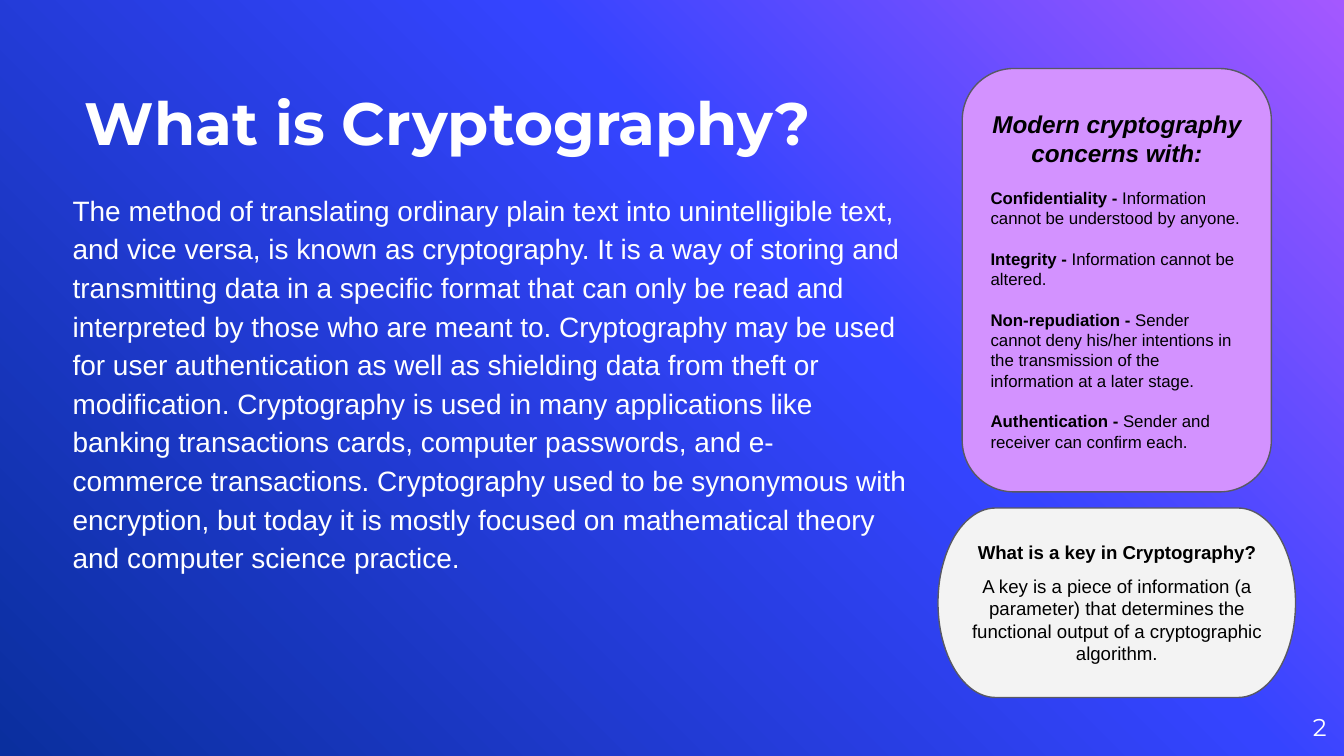
from copy import deepcopy
from pptx import Presentation
from pptx.dml.color import RGBColor
from pptx.enum.shapes import MSO_SHAPE as Shape
from pptx.enum.text import MSO_ANCHOR as Anchor, PP_ALIGN as Align
from pptx.util import Inches, Pt

WHITE = RGBColor(0xFF, 0xFF, 0xFF)
BLACK = RGBColor(0x00, 0x00, 0x00)
LILAC = RGBColor(0xD3, 0x92, 0xFF)
PALE = RGBColor(0xF3, 0xF3, 0xF3)
GREY = RGBColor(0x58, 0x59, 0x63)
VIOLET = RGBColor(0xA4, 0x58, 0xFF)
BLUE = RGBColor(0x35, 0x44, 0xFF)
NAVY = RGBColor(0x0A, 0x2F, 0x9E)

STOPS = [(0, VIOLET), (0.39, BLUE), (1, NAVY)]
TITLE = "What is Cryptography?"
BODY = (
    "The method of translating ordinary plain text into unintelligible text, "
    "and vice versa, is known as cryptography. It is a way of storing and "
    "transmitting data in a specific format that can only be read and "
    "interpreted by those who are meant to. Cryptography may be used for user "
    "authentication as well as shielding data from theft or modification. "
    "Cryptography is used in many applications like banking transactions "
    "cards, computer passwords, and e- commerce transactions. Cryptography "
    "used to be synonymous with encryption, but today it is mostly focused on "
    "mathematical theory and computer science practice."
)
GOALS_HEAD = "Modern cryptography concerns with:"
GOALS = [
    ("Confidentiality -", " Information cannot be understood by anyone."),
    ("Integrity -", " Information cannot be altered."),
    ("Non-repudiation -", " Sender cannot deny his/her intentions in the "
     "transmission of the information at a later stage."),
    ("Authentication -", " Sender and receiver can confirm each."),
]
KEY_HEAD = "What is a key in Cryptography?"
KEY_TEXT = ("A key is a piece of information (a parameter) that determines "
            "the functional output of a cryptographic algorithm.")


def set_frame(frame, anchor, inset):
    frame.word_wrap = True
    frame.vertical_anchor = anchor
    for side in ("left", "top", "right", "bottom"):
        setattr(frame, f"margin_{side}", Inches(inset))


def add_para(frame, runs, align=Align.LEFT, gap=0, **base):
    """Add a paragraph of (text, font values) runs over shared font values."""
    first = frame.paragraphs[0]
    para = frame.add_paragraph() if first.runs else first
    para.alignment = align
    if gap:
        para.space_before = Pt(gap)
    for text, extra in runs:
        run = para.add_run()
        run.text = text
        values = {"name": "Arial", **base, **extra}
        run.font.color.rgb = values.pop("color")
        for key, value in values.items():
            setattr(run.font, key, value)
    return para


def add_text(slide, box, text, anchor=Anchor.TOP, align=Align.LEFT, **font):
    frame = slide.shapes.add_textbox(*map(Inches, box)).text_frame
    set_frame(frame, anchor, 0)
    return add_para(frame, [(text, {})], align, color=WHITE, **font)


def add_card(slide, kind, box, fill):
    card = slide.shapes.add_shape(kind, *map(Inches, box))
    card.shadow.inherit = False
    card.fill.solid()
    card.fill.fore_color.rgb = fill
    card.line.color.rgb = GREY
    card.line.width = Pt(0.75)
    set_frame(card.text_frame, Anchor.MIDDLE, 0.1)
    return card.text_frame


def paint_back(slide):
    fill = slide.background.fill
    fill.gradient()
    fill.gradient_angle = 225  # counter-clockwise: top right to bottom left
    stops = slide.element.xpath(".//a:gsLst")[0]
    stops.append(deepcopy(stops[-1]))
    for stop, (place, color) in zip(fill.gradient_stops, STOPS):
        stop.position = place
        stop.color.rgb = color


def main():
    deck = Presentation()
    deck.slide_width, deck.slide_height = Inches(10), Inches(5.625)
    slide = deck.slides.add_slide(deck.slide_layouts[6])
    paint_back(slide)

    add_text(slide, (0.63, 0.23, 6.58, 0.94), TITLE, Anchor.BOTTOM,
             name="Montserrat", size=Pt(32), bold=True)
    body = add_text(slide, (0.54, 1.4, 6.25, 2.38), BODY, size=Pt(15))
    body.line_spacing = 1.15
    add_text(slide, (9.27, 5.19, 0.6, 0.43), "2", Anchor.MIDDLE, Align.RIGHT,
             name="Montserrat", size=Pt(13))

    goals = add_card(slide, Shape.FLOWCHART_ALTERNATE_PROCESS,
                     (7.16, 0.51, 2.3, 3.15), LILAC)
    add_para(goals, [(GOALS_HEAD, {})], Align.CENTER,
             size=Pt(13), bold=True, italic=True, color=BLACK)
    for term, text in GOALS:
        add_para(goals, [(term, {"bold": True}), (text, {})],
                 gap=11, size=Pt(9), color=BLACK)

    key = add_card(slide, Shape.FLOWCHART_TERMINATOR,
                   (6.98, 3.78, 2.66, 1.41), PALE)
    for text, bold, gap in [(KEY_HEAD, True, 0), (KEY_TEXT, False, 6)]:
        add_para(key, [(text, {})], Align.CENTER, gap,
                 size=Pt(10), bold=bold, color=BLACK)

    deck.save("out.pptx")


if __name__ == "__main__":
    main()
